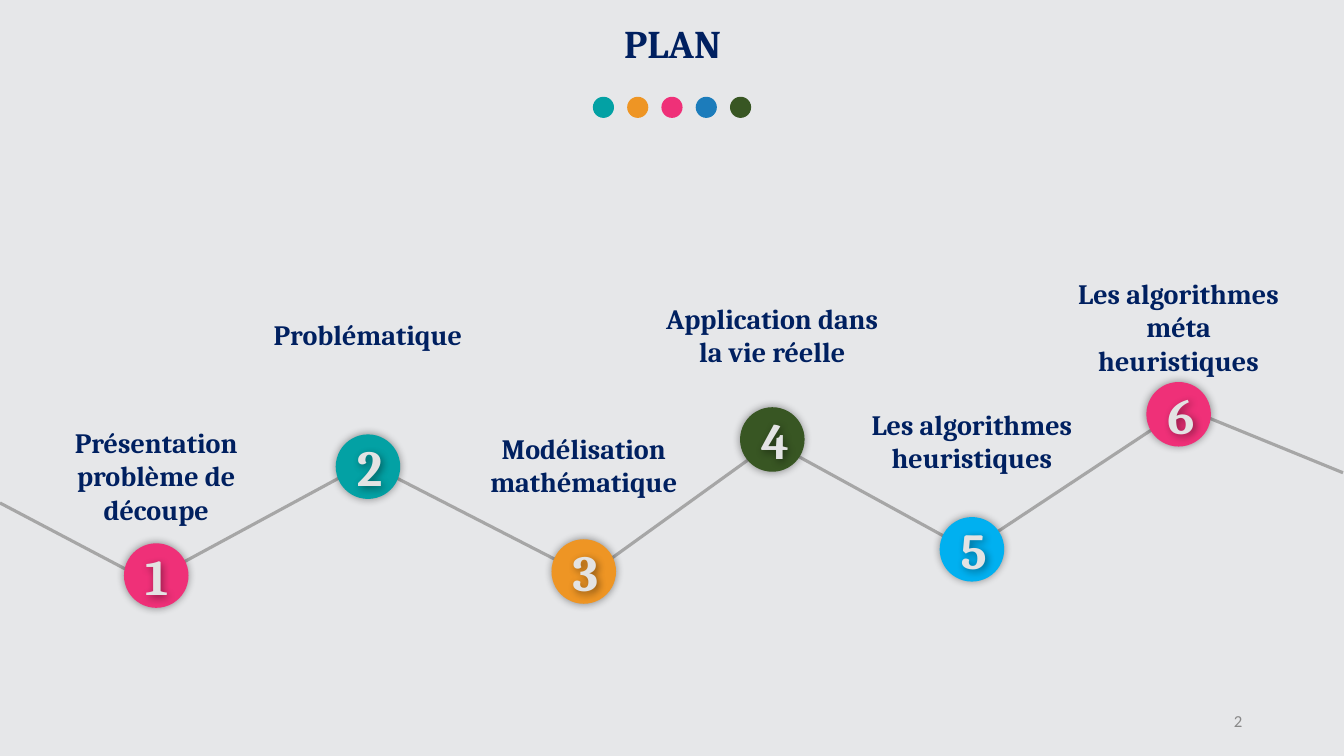
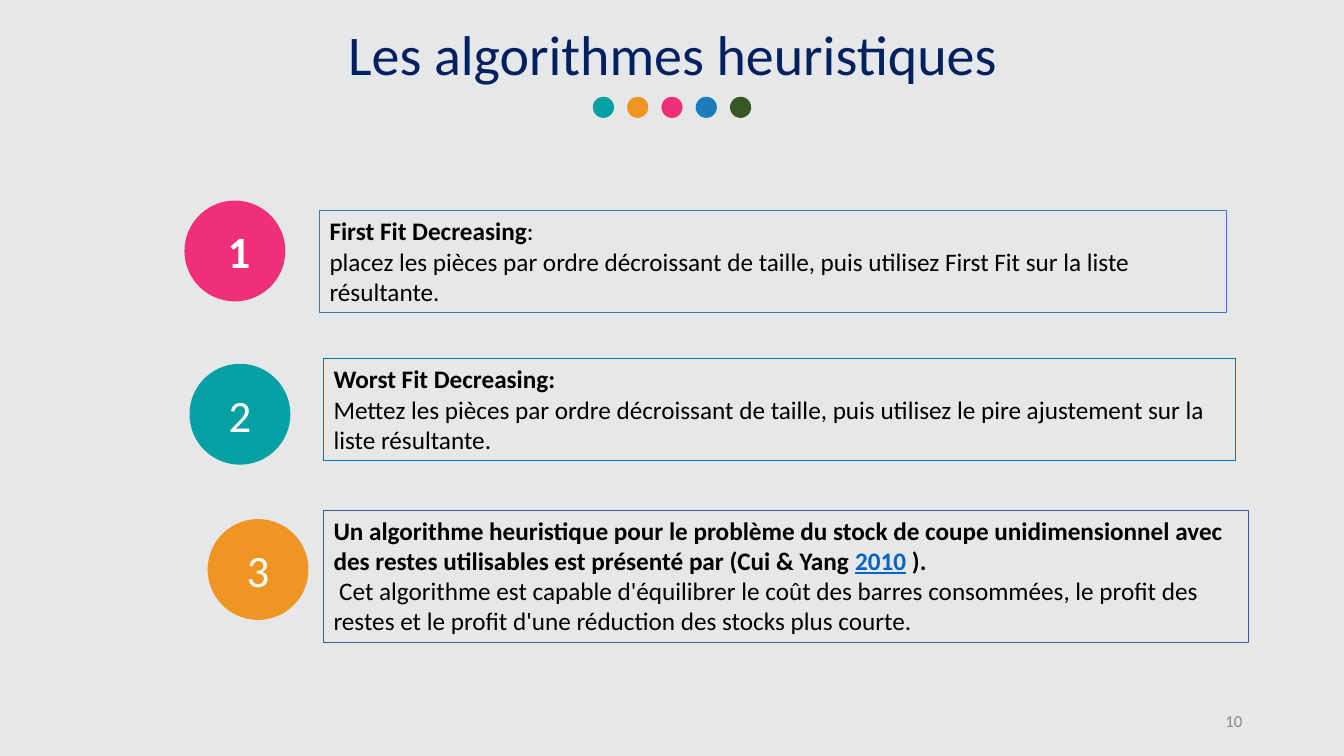
from lxml.etree import SubElement
from pptx import Presentation
from pptx.dml.color import RGBColor
from pptx.enum.shapes import MSO_CONNECTOR, MSO_SHAPE
from pptx.enum.text import MSO_ANCHOR, MSO_AUTO_SIZE, PP_ALIGN
from pptx.oxml.ns import qn
from pptx.util import Inches, Pt

BACKGROUND = RGBColor(0xE6, 0xE7, 0xE9)
NAVY = RGBColor(0x00, 0x20, 0x60)
TEAL = RGBColor(0x03, 0xA1, 0xA4)
ORANGE = RGBColor(0xEE, 0x95, 0x24)
PINK = RGBColor(0xEF, 0x30, 0x78)
BLUE = RGBColor(0x1C, 0x7C, 0xBB)
GREEN = RGBColor(0x38, 0x56, 0x23)
SKY = RGBColor(0x00, 0xB0, 0xF0)
LINE_GRAY = RGBColor(0xA6, 0xA6, 0xA6)
NUMBER_GRAY = RGBColor(0xE3, 0xE3, 0xE3)
PAGE_GRAY = RGBColor(0x88, 0x88, 0x88)
LINK_BLUE = RGBColor(0x05, 0x63, 0xC1)
BORDER_BLUE = RGBColor(0x44, 0x72, 0xC4)
BORDER_BRIGHT = RGBColor(0x00, 0x70, 0xC0)
BORDER_DARK = RGBColor(0x3B, 0x59, 0x98)
WHITE = RGBColor(0xFF, 0xFF, 0xFF)
BLACK = RGBColor(0x00, 0x00, 0x00)

PLAN_TITLE = {"name": "Cambria", "size": Pt(28), "bold": True, "color": NAVY}
CONTENT_TITLE = {"name": "Calibri", "size": Pt(40), "color": NAVY}
STEP_LABEL = PLAN_TITLE | {"size": Pt(20)}
STEP_NUMBER = PLAN_TITLE | {"size": Pt(36), "color": NUMBER_GRAY}
ITEM_NUMBER = {"name": "Calibri", "size": Pt(32), "color": WHITE}
BODY = {"name": "Calibri", "size": Pt(18), "color": BLACK}
PAGE_NUMBER = {"name": "Calibri", "size": Pt(12), "color": PAGE_GRAY}
BOLD = {"bold": True}
LINK = {"bold": True, "underline": True, "color": LINK_BLUE}


def write_text(shape, paragraphs, style, align=PP_ALIGN.CENTER, anchor=MSO_ANCHOR.TOP):
    """Fill a shape with paragraphs, each a list of (text, extra format) runs."""
    frame = shape.text_frame
    frame.word_wrap = True
    frame.vertical_anchor = anchor
    for index, runs in enumerate(paragraphs):
        paragraph = frame.paragraphs[0] if index == 0 else frame.add_paragraph()
        paragraph.alignment = align
        for text, extra in runs:
            run = paragraph.add_run()
            run.text = text
            for key, value in (style | extra).items():
                if key == "color":
                    run.font.color.rgb = value
                else:
                    setattr(run.font, key, value)


def add_circle(slide, left, top, size, color):
    circle = slide.shapes.add_shape(
        MSO_SHAPE.OVAL, Inches(left), Inches(top), Inches(size), Inches(size))
    circle.shadow.inherit = False
    circle.fill.solid()
    circle.fill.fore_color.rgb = color
    circle.line.fill.background()
    return circle


presentation = Presentation()
presentation.slide_width = Inches(13.33)
presentation.slide_height = Inches(7.5)
presentation.slide_master.background.fill.solid()
presentation.slide_master.background.fill.fore_color.rgb = BACKGROUND

# Title, dots and page number shared by the slides
slides = []
for title, title_style, title_height, page in [
    ("PLAN", PLAN_TITLE, 0.57, "2"),
    ("Les algorithmes heuristiques", CONTENT_TITLE, 0.77, "10"),
]:
    slide = presentation.slides.add_slide(presentation.slide_layouts[6])
    slides.append(slide)
    title_box = slide.shapes.add_textbox(
        Inches(2.69), Inches(0.14), Inches(7.96), Inches(title_height))
    write_text(title_box, [[(title, {})]], title_style)
    for index, color in enumerate([TEAL, ORANGE, PINK, BLUE, GREEN]):
        add_circle(slide, 5.88 + 0.34 * index, 0.96, 0.21, color)
    page_box = slide.shapes.add_textbox(Inches(9.42), Inches(6.95), Inches(3), Inches(0.4))
    write_text(page_box, [[(page, {})]], PAGE_NUMBER, PP_ALIGN.RIGHT, MSO_ANCHOR.MIDDLE)

plan_slide, heuristics_slide = slides

# Plan: zigzag line, then numbered steps
for ends in [
    (0, 4.99, 1.48, 5.77),
    (1.63, 5.68, 3.57, 4.63),
    (3.89, 4.72, 5.76, 5.68),
    (5.87, 5.68, 7.59, 4.44),
    (7.63, 4.37, 9.6, 5.45),
    (9.78, 5.35, 11.61, 4.14),
    (11.9, 4.11, 13.32, 4.69),
]:
    connector = plan_slide.shapes.add_connector(
        MSO_CONNECTOR.STRAIGHT, *[Inches(value) for value in ends])
    connector.line.color.rgb = LINE_GRAY
    connector.line.width = Pt(2.25)
    SubElement(connector._element.spPr, qn("a:effectLst"))

STEP_SIZE = 0.64
LABEL_WIDTH = 2.33
steps = [
    ("Présentation problème de découpe", 1.23, 5.39, PINK, 4.17, 1.11),
    ("Problématique", 3.33, 4.31, TEAL, 3.1, 0.44),
    ("Modélisation mathématique", 5.47, 5.35, ORANGE, 4.23, 0.77),
    ("Application dans la vie réelle", 7.34, 4.04, GREEN, 2.94, 0.77),
    ("Les algorithmes heuristiques", 9.32, 5.13, SKY, 3.99, 0.77),
    ("Les algorithmes méta heuristiques", 11.37, 3.79, PINK, 2.69, 1.11),
]
for number, (label, left, top, color, label_top, label_height) in enumerate(steps, 1):
    circle = add_circle(plan_slide, left, top, STEP_SIZE, color)
    number_box = plan_slide.shapes.add_textbox(
        Inches(left + 0.11), Inches(top - 0.03), Inches(0.42), Inches(0.71))
    write_text(number_box, [[(str(number), {})]], STEP_NUMBER)
    number_box.shadow.inherit = False
    for shape, distance in [(circle, 0), (number_box, 2)]:
        effects = shape._element.spPr.find(qn("a:effectLst"))
        shadow = SubElement(effects, qn("a:outerShdw"), blurRad=str(Pt(6)),
                            dist=str(Pt(distance)), dir="2700000", algn="ctr")
        shadow_color = SubElement(shadow, qn("a:srgbClr"), val="000000")
        SubElement(shadow_color, qn("a:alpha"), val="40000")
    label_left = left + (STEP_SIZE - LABEL_WIDTH) / 2
    label_box = plan_slide.shapes.add_textbox(
        Inches(label_left), Inches(label_top), Inches(LABEL_WIDTH), Inches(label_height))
    write_text(label_box, [[(label, {})]], STEP_LABEL)

# Heuristics: numbered circle beside a framed description
items = [
    ((1.83, 1.99), PINK, BOLD, 0.18, (3.17, 2.09, 9, 1.01), BORDER_BLUE, [
        [("First Fit Decreasing", BOLD), (":", {})],
        [("placez les pièces par ordre décroissant de taille, puis utilisez "
          "First Fit sur la liste résultante.", {})],
    ]),
    ((1.88, 3.61), TEAL, {}, 0.1, (3.21, 3.56, 9.04, 1.01), BORDER_BRIGHT, [
        [("Worst Fit Decreasing:", BOLD)],
        [("Mettez les pièces par ordre décroissant de taille, puis utilisez "
          "le pire ajustement sur la liste résultante.", {})],
    ]),
    ((2.06, 5.15), ORANGE, {}, 0.1, (3.21, 5.06, 9.17, 1.31), BORDER_DARK, [
        [("Un algorithme heuristique pour le problème du stock de coupe unidimensionnel "
          "avec des restes utilisables est présenté par (Cui & Yang ", BOLD),
         ("2010", LINK), (" ).", BOLD)],
        [(" Cet algorithme est capable d'équilibrer le coût des barres consommées, "
          "le profit des restes et le profit d'une réduction des stocks plus courte.", {})],
    ]),
]
for number, (corner, color, number_format, inset, box, border, paragraphs) in enumerate(items, 1):
    circle = add_circle(heuristics_slide, *corner, 1, color)
    circle.text_frame.margin_left = Inches(inset)
    write_text(circle, [[(str(number), number_format)]], ITEM_NUMBER, anchor=MSO_ANCHOR.MIDDLE)
    frame = heuristics_slide.shapes.add_shape(
        MSO_SHAPE.RECTANGLE, *[Inches(value) for value in box])
    frame.shadow.inherit = False
    frame.fill.background()
    frame.line.color.rgb = border
    frame.line.width = Pt(0.75)
    frame.text_frame.auto_size = MSO_AUTO_SIZE.SHAPE_TO_FIT_TEXT
    write_text(frame, paragraphs, BODY, PP_ALIGN.LEFT)

presentation.save("out.pptx")
